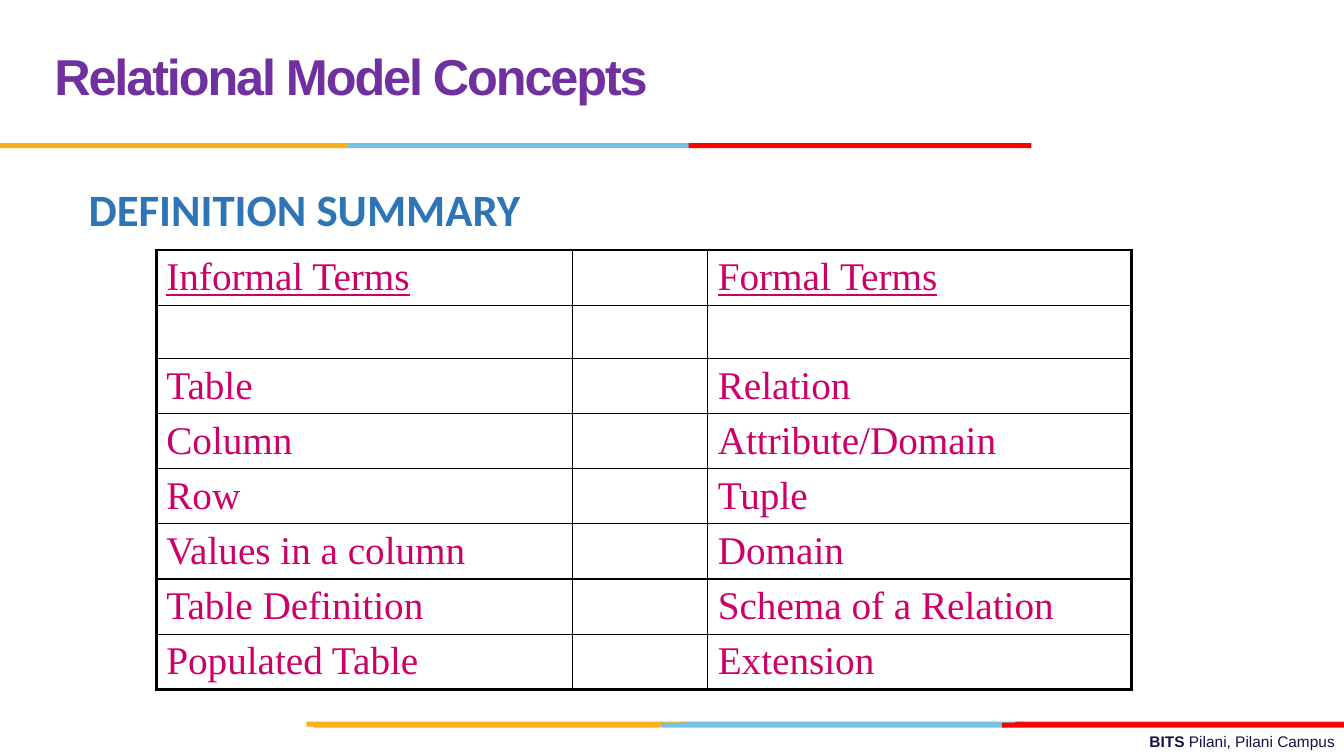
from dataclasses import dataclass

from lxml import etree
from pptx import Presentation
from pptx import util as u
from pptx.dml.color import RGBColor
from pptx.enum import shapes, text
from pptx.oxml import ns


@dataclass(frozen=True)
class Theme:
    amber: str = "FCB017"
    sky: str = "76C2E5"
    crimson: str = "E31C24"
    red: str = "FF0000"
    purple: str = "7030A0"
    blue: str = "2E75B6"
    pink: str = "CC0066"
    navy: str = "101141"
    black: str = "000000"
    sans: str = "Arial"
    heading: str = "Calibri"
    serif: str = "Times New Roman"
    title_size: int = 36
    heading_size: int = 32
    cell_size: int = 28
    footer_size: int = 11
    outer_line: float = 2.25
    inner_line: float = 1


THEME = Theme()

TERMS = [
    ("Informal Terms", "", "Formal Terms"),
    ("", "", ""),
    ("Table", "", "Relation"),
    ("Column", "", "Attribute/Domain"),
    ("Row", "", "Tuple"),
    ("Values in a column", "", "Domain"),
    ("Table Definition", "", "Schema of a Relation"),
    ("Populated Table", "", "Extension"),
]
COLUMN_WIDTHS = (4.13, 1.34, 4.2)
ROW_HEIGHT = 0.53
BAR_HEIGHT = 0.05


def style_run(r, font, size, color, bold=False, underline=False):
    r.font.name = font
    r.font.size = u.Pt(size)
    r.font.color.rgb = RGBColor.from_string(color)
    r.font.bold = bold
    r.font.underline = underline


def add_bars(s, top, bars):
    for left, width, color in bars:
        sp = s.shapes.add_shape(
            shapes.MSO_SHAPE.RECTANGLE,
            u.Inches(left), u.Inches(top), u.Inches(width), u.Inches(BAR_HEIGHT),
        )
        sp.shadow.inherit = False
        sp.fill.solid()
        sp.fill.fore_color.rgb = RGBColor.from_string(color)
        sp.line.fill.background()


def add_text(s, box, parts, font, size, color, wrap=True):
    sp = s.shapes.add_textbox(*(u.Inches(v) for v in box))
    tf = sp.text_frame
    tf.word_wrap = wrap
    p = tf.paragraphs[0]
    for words, bold in parts:
        r = p.add_run()
        r.text = words
        style_run(r, font, size, color, bold)
    return tf


def add_title(s, words):
    tf = add_text(s, (0.44, 0.17, 9.22, 1.25), [(words, True)],
                  THEME.sans, THEME.title_size, THEME.purple)
    tf.vertical_anchor = text.MSO_ANCHOR.MIDDLE
    p = tf.paragraphs[0]
    p.line_spacing = u.Pt(36)
    p.runs[0].font._element.set("spc", "-150")


def add_footer(s):
    tf = add_text(s, (4.78, 7.21, 8.56, 0.29),
                  [("BITS ", True), ("Pilani, Pilani Campus", False)],
                  THEME.sans, THEME.footer_size, THEME.navy)
    tf.paragraphs[0].alignment = text.PP_ALIGN.RIGHT


def set_borders(cell, outer_edges):
    props = cell._tc.get_or_add_tcPr()
    for i, (tag, outer) in enumerate(zip(("lnL", "lnR", "lnT", "lnB"), outer_edges)):
        width = THEME.outer_line if outer else THEME.inner_line
        ln = etree.Element(ns.qn(f"a:{tag}"), w=str(int(u.Pt(width))))
        fill = etree.SubElement(ln, ns.qn("a:solidFill"))
        etree.SubElement(fill, ns.qn("a:srgbClr"), val=THEME.black)
        props.insert(i, ln)


def add_terms_table(s):
    n_rows, n_cols = len(TERMS), len(COLUMN_WIDTHS)
    table = s.shapes.add_table(
        n_rows, n_cols, u.Inches(1.55), u.Inches(2.48),
        u.Inches(sum(COLUMN_WIDTHS)), u.Inches(ROW_HEIGHT * n_rows),
    ).table
    table.first_row = False
    table.horz_banding = False
    for column, width in zip(table.columns, COLUMN_WIDTHS):
        column.width = u.Inches(width)
    for i, terms in enumerate(TERMS):
        table.rows[i].height = u.Inches(ROW_HEIGHT)
        for j, term in enumerate(terms):
            cell = table.cell(i, j)
            cell.fill.background()
            cell.vertical_anchor = text.MSO_ANCHOR.MIDDLE
            cell.margin_top = cell.margin_bottom = u.Inches(0.04)
            set_borders(cell, (j == 0, j == n_cols - 1, i == 0, i == n_rows - 1))
            if term:
                cell.text_frame.text = term
                style_run(cell.text_frame.paragraphs[0].runs[0], THEME.serif,
                          THEME.cell_size, THEME.pink, underline=i == 0)


def main():
    prs = Presentation()
    prs.slide_width = u.Inches(13.33)
    prs.slide_height = u.Inches(7.5)
    s = prs.slides.add_slide(prs.slide_layouts[6])
    add_footer(s)
    add_bars(s, 7.16, [(6.75, 3.4, THEME.sky), (10.07, 3.26, THEME.crimson),
                       (3.04, 3.76, THEME.amber)])
    add_bars(s, 7.17, [(6.56, 3.4, THEME.sky), (3.11, 3.44, THEME.amber),
                       (9.94, 3.39, THEME.red)])
    add_bars(s, 1.42, [(3.44, 3.4, THEME.sky), (0, 3.44, THEME.amber),
                       (6.83, 3.4, THEME.red)])
    add_title(s, "Relational Model Concepts")
    add_terms_table(s)
    add_text(s, (0.78, 1.75, 4.53, 0.64), [("DEFINITION SUMMARY", True)],
             THEME.heading, THEME.heading_size, THEME.blue, wrap=False)
    prs.save("out.pptx")


if __name__ == "__main__":
    main()
